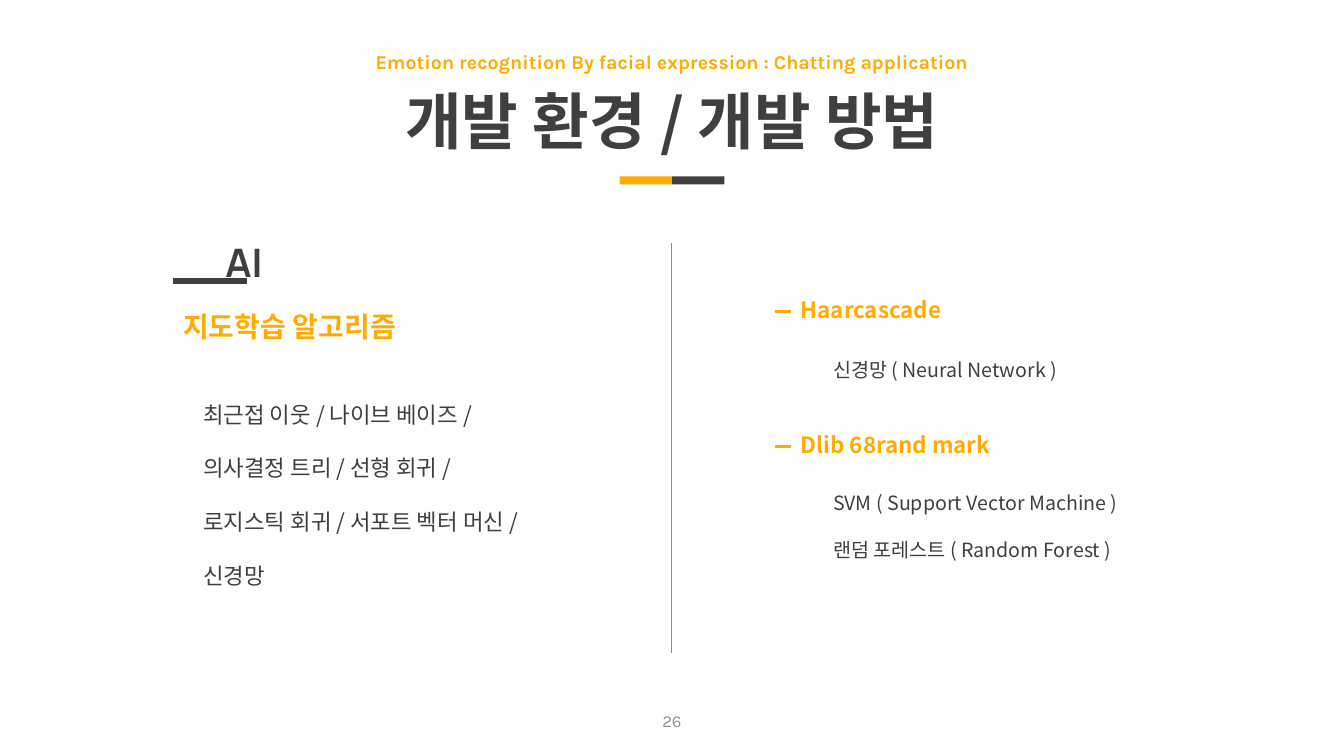
from lxml import etree
from pptx import Presentation
from pptx.dml.color import RGBColor
from pptx.enum import shapes, text
from pptx.oxml import ns
from pptx.util import Inches, Pt

COLORS = {"accent": "FFAB03", "dark": "3F3F3F", "divider": "8C8C8C", "page": "929292"}
KOREAN = "Noto Sans CJK KR"
CENTER = text.PP_ALIGN.CENTER
JUSTIFY = text.PP_ALIGN.JUSTIFY
MIDDLE = text.MSO_ANCHOR.MIDDLE
TOP = text.MSO_ANCHOR.TOP


def write(sp, lines, size, color, font=KOREAN, bold=False, align=None, spacing=None, anchor=TOP):
    tf = sp.text_frame
    tf.word_wrap = True
    tf.auto_size = text.MSO_AUTO_SIZE.NONE
    tf.vertical_anchor = anchor
    tf.text = "\n".join(lines)
    for p in tf.paragraphs:
        p.alignment = align
        p.line_spacing = spacing
        for r in p.runs:
            r.font.size = Pt(size)
            r.font.bold = bold
            r.font.name = font
            r.font.color.rgb = RGBColor.from_string(COLORS[color])
            ea = etree.SubElement(r.font._element, ns.qn("a:ea"))
            ea.set("typeface", KOREAN)


def draw_line(x1, y1, x2, y2, color, width):
    line = s.shapes.add_connector(
        shapes.MSO_CONNECTOR.STRAIGHT, Inches(x1), Inches(y1), Inches(x2), Inches(y2))
    line.line.color.rgb = RGBColor.from_string(COLORS[color])
    line.line.width = Pt(width)
    etree.SubElement(line._element.spPr, ns.qn("a:effectLst"))


prs = Presentation()
prs.slide_width = Inches(13.34)
prs.slide_height = Inches(7.5)
s = prs.slides.add_slide(prs.slide_layouts[5])

for x, color in ((6.15, "accent"), (6.67, "dark")):
    bar = s.shapes.add_shape(
        shapes.MSO_SHAPE.RECTANGLE, Inches(x), Inches(1.75), Inches(0.52), Inches(0.08))
    bar.shadow.inherit = False
    bar.fill.solid()
    bar.fill.fore_color.rgb = RGBColor.from_string(COLORS[color])
    bar.line.fill.background()

title = s.shapes.title
title.left, title.top = Inches(0.92), Inches(0.63)
title.width, title.height = Inches(11.5), Inches(1.21)
write(title, ["개발 환경 / 개발 방법"], 44, "dark", bold=True,
      align=CENTER, spacing=0.9, anchor=MIDDLE)

heading = dict(color="accent", bold=True)
detail = dict(color="dark", align=JUSTIFY, spacing=2)
boxes = [
    (0.92, 0.43, 11.5, 0.4, ["Emotion recognition By facial expression : Chatting application"],
     dict(heading, size=14, font="Karla", align=CENTER, spacing=0.9, anchor=MIDDLE)),
    (2.14, 2.32, 4.53, 0.57, ["AI"], dict(size=28, color="dark", font="Manrope", bold=True)),
    (1.72, 3.02, 3.95, 0.44, ["지도학습 알고리즘"], dict(heading, size=20)),
    (1.92, 3.66, 5.28, 2.24,
     ["최근접 이웃 / 나이브 베이즈 /", "의사결정 트리 / 선형 회귀 /",
      "로지스틱 회귀 / 서포트 벡터 머신 /", "신경망"], dict(detail, size=16)),
    (7.85, 2.89, 3.95, 0.37, ["Haarcascade"], dict(heading, size=16)),
    (8.17, 3.27, 5.29, 0.57, ["신경망 ( Neural Network )"], dict(detail, size=14)),
    (7.85, 4.23, 5.47, 0.37, ["Dlib 68rand mark"], dict(heading, size=16)),
    (8.17, 4.59, 5.29, 1.04,
     ["SVM ( Support Vector Machine )", "랜덤 포레스트 ( Random Forest )"],
     dict(detail, size=14)),
    (5.17, 6.95, 3, 0.4, ["26"],
     dict(size=12, color="page", font="Karla", align=CENTER, anchor=MIDDLE)),
]
for x, y, w, h, lines, style in boxes:
    write(s.shapes.add_textbox(Inches(x), Inches(y), Inches(w), Inches(h)), lines, **style)

draw_line(1.72, 2.79, 2.45, 2.79, "dark", 4.5)
draw_line(6.67, 2.41, 6.67, 6.48, "divider", 0.75)
for y in (3.09, 4.43):
    draw_line(7.69, y, 7.85, y, "accent", 2.25)

prs.save("out.pptx")
